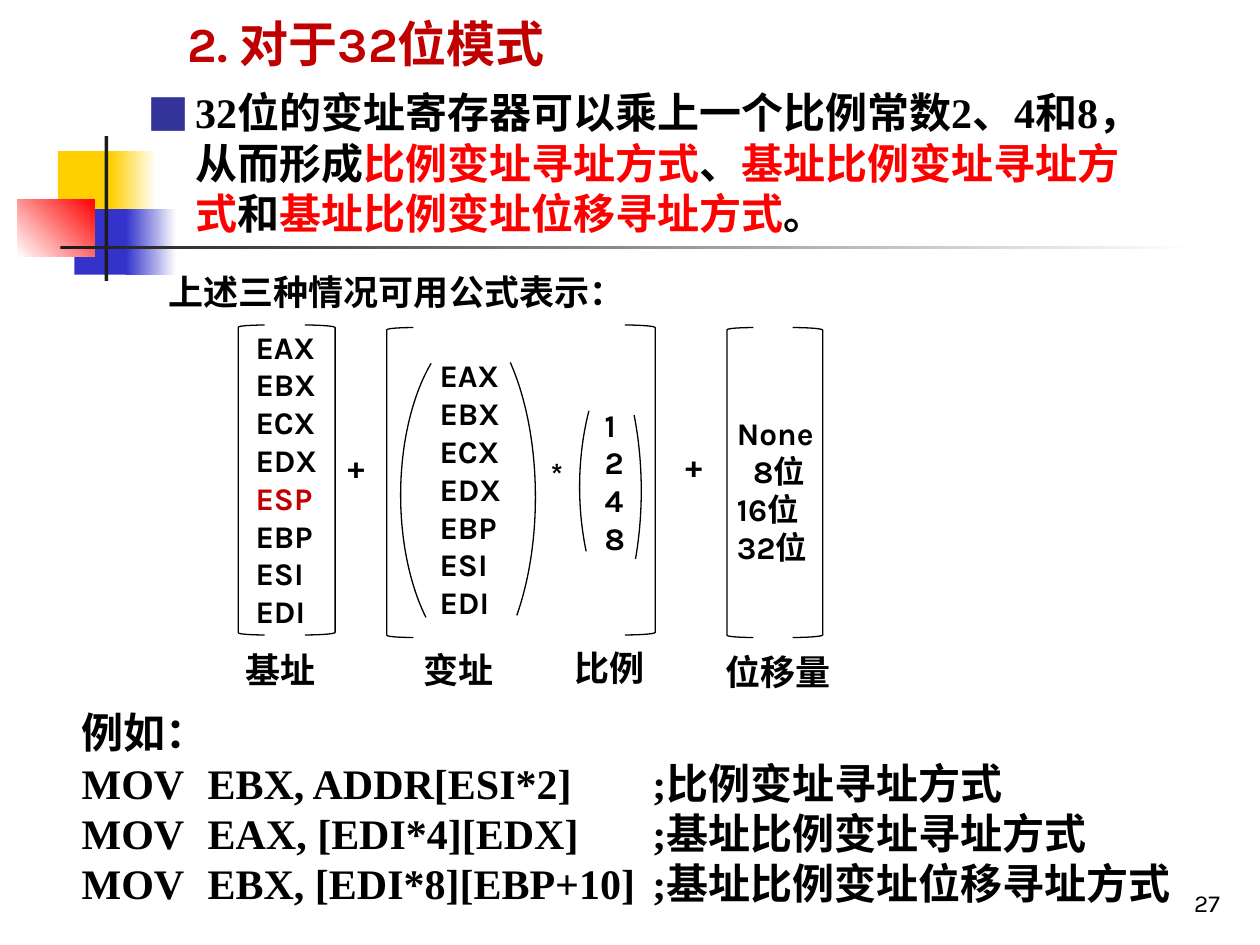
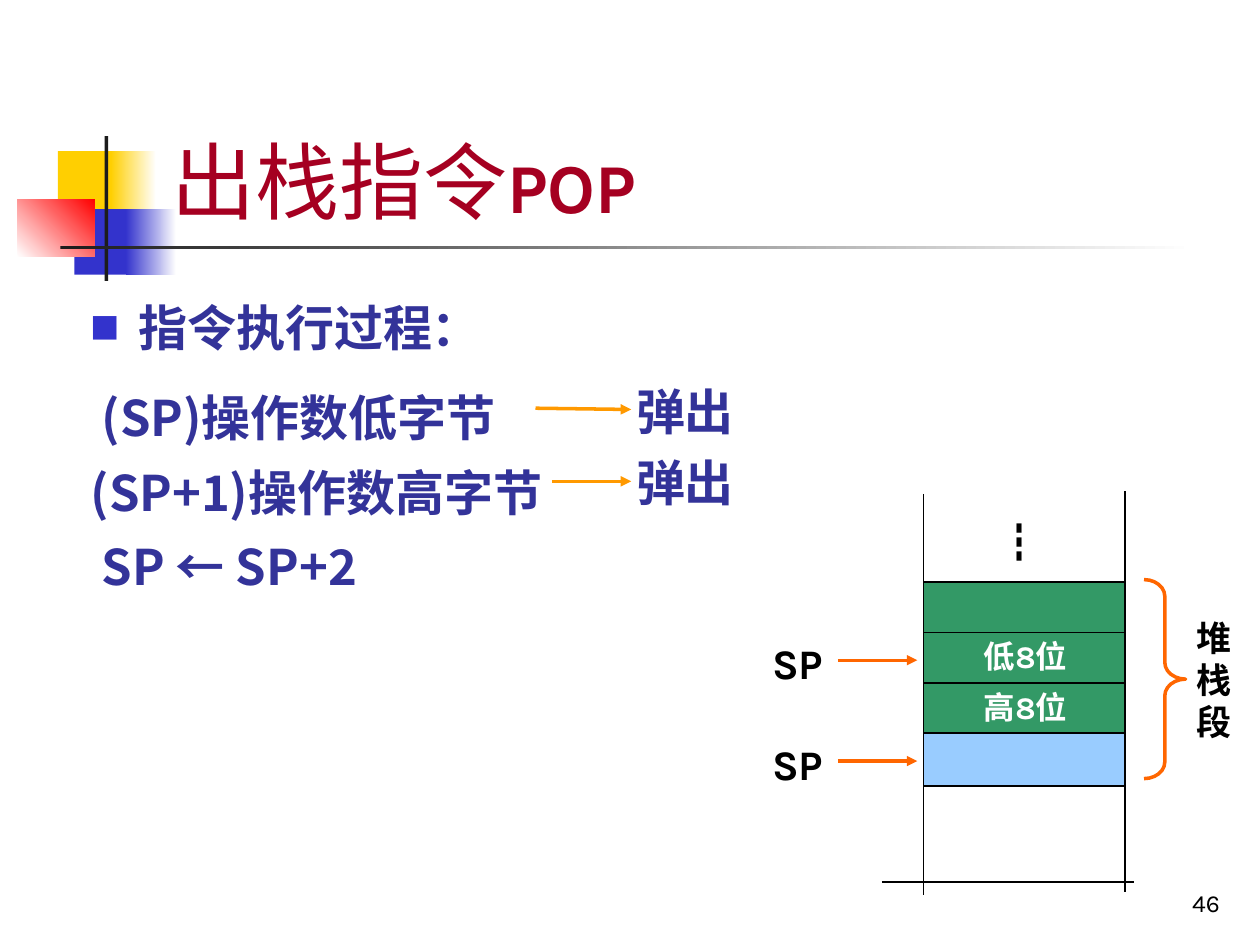
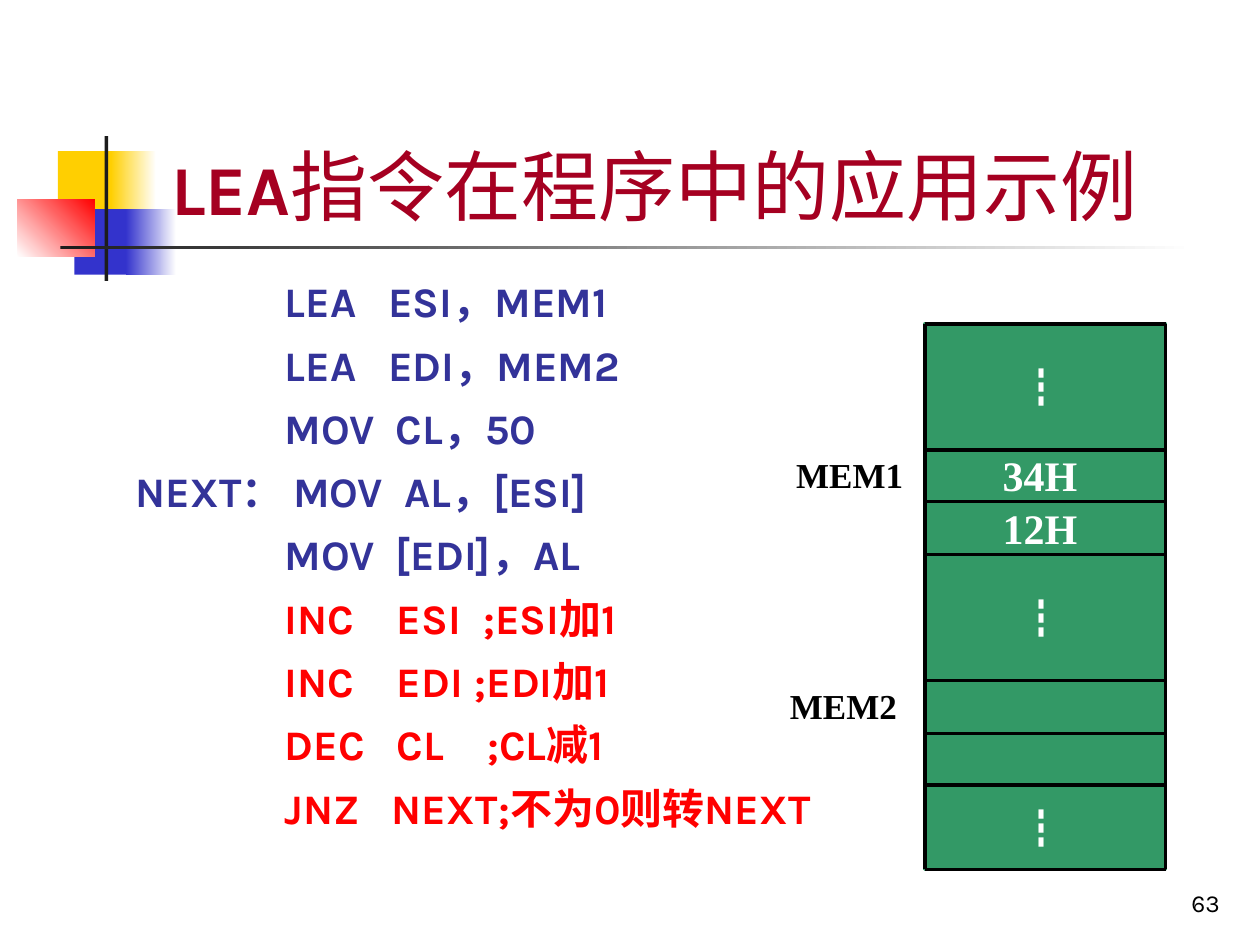
from lxml import etree
from pptx import Presentation
from pptx.dml.color import RGBColor
from pptx.enum import shapes, text
from pptx.oxml.ns import qn
from pptx.util import Inches, Pt

BLACK = RGBColor(0x00, 0x00, 0x00)
WHITE = RGBColor(0xFF, 0xFF, 0xFF)
INK = RGBColor(0x1C, 0x1C, 0x1C)
YELLOW = RGBColor(0xFF, 0xCF, 0x01)
BLUE = RGBColor(0x33, 0x33, 0xCC)
RED = RGBColor(0xFF, 0x00, 0x00)
CRIMSON = RGBColor(0xC0, 0x00, 0x00)
MAROON = RGBColor(0xA5, 0x00, 0x21)
NAVY = RGBColor(0x33, 0x33, 0x99)
GREEN = RGBColor(0x33, 0x99, 0x66)
SKY = RGBColor(0x99, 0xCC, 0xFF)
AMBER = RGBColor(0xFF, 0x99, 0x00)
ORANGE = RGBColor(0xFF, 0x66, 0x00)

KARLA, TIMES, NOTO = "Karla", "Times New Roman", "Noto Sans CJK SC"
SHAPE = shapes.MSO_SHAPE

DECORATION = [
    ((0.46, 1.2, 0.48, 0.52), (YELLOW,), 0),
    ((0.88, 1.2, 0.36, 0.52), (YELLOW, WHITE), 0),
    ((0.59, 1.66, 0.46, 0.52), (BLUE,), 0),
    ((1, 1.66, 0.4, 0.52), (BLUE, WHITE), 0),
    ((0.14, 1.58, 0.61, 0.46), (WHITE, RED), 45),
    ((0.83, 1.08, 0.03, 1.15), (INK,), 0),
    ((0.48, 1.95, 9, 0.03), (INK, WHITE), 0),
]

SCALED_INTRO = [
    ("32位的变址寄存器可以乘上一个比例常数2、4和8，从而形成", {}),
    ("比例变址寻址方式", {"color": RED}),
    ("、", {}),
    ("基址比例变址寻址方式", {"color": RED}),
    ("和", {}),
    ("基址比例变址位移寻址方式", {"color": RED}),
    ("。", {}),
]
BASE_REGISTERS = ["EAX", "EBX", "ECX", "EDX", [("ESP", {"color": CRIMSON})], "EBP", "ESI", "EDI"]
INDEX_REGISTERS = ["EAX", "EBX", "ECX", "EDX", "EBP", "ESI", "EDI"]
FORMULA_COLUMNS = [
    ((1.93, 2.55, 0.87, 2.52), BASE_REGISTERS),
    ((3.39, 2.78, 0.87, 2.22), INDEX_REGISTERS),
    ((4.7, 3.17, 0.35, 1.31), ["1", "2", "4", "8"]),
    ((5.75, 3.24, 0.87, 1.31), ["None", "8位", "16位", "32位"]),
]
OPERATORS = [((2.66, 3.5, 0.39, 0.5), "+"), ((5.34, 3.49, 0.39, 0.5), "+"),
             ((4.27, 3.56, 0.37, 0.5), "*")]
BRACKETS = [
    (SHAPE.LEFT_BRACKET, (1.89, 2.58, 0.21, 2.46)),
    (SHAPE.RIGHT_BRACKET, (2.42, 2.58, 0.24, 2.46)),
    (SHAPE.LEFT_BRACKET, (3.07, 2.6, 0.21, 2.46)),
    (SHAPE.RIGHT_BRACKET, (4.96, 2.58, 0.24, 2.46)),
    (SHAPE.LEFT_BRACKET, (5.77, 2.6, 0.21, 2.46)),
    (SHAPE.RIGHT_BRACKET, (6.29, 2.6, 0.24, 2.46)),
]
PARENTHESES = [
    ((2.79, 2.39, 1.46, 3.11), (177.85, 34.92), False),
    ((3.18, 2.55, 1.39, 2.76), (176.06, 37.81), True),
    ((3.63, 2.34, 1.46, 3.11), (190.98, 23.01), False),
    ((4.6, 2.31, 1.88, 3.11), (195.08, 17.94), True),
]
PART_NAMES = [((1.85, 5.1, 0.77, 0.44), "基址"), ((3.26, 5.1, 0.77, 0.44), "变址"),
              ((4.46, 5.08, 0.77, 0.44), "比例"), ((5.66, 5.11, 1.19, 0.44), "位移量")]
EXAMPLES = [
    "例如：",
    "MOV\tEBX, ADDR[ESI*2]\t;比例变址寻址方式",
    "MOV\tEAX, [EDI*4][EDX]\t;基址比例变址寻址方式",
    "MOV\tEBX, [EDI*8][EBP+10]\t;基址比例变址位移寻址方式",
]

POP_STEPS = ["指令执行过程：", " (SP)操作数低字节", "(SP+1)操作数高字节", " SP ← SP+2"]
POP_ARROWS = [(4.25, 3.24, 5.01, 3.25), (4.38, 3.82, 5.01, 3.82)]
STACK_LEFT, STACK_RIGHT, STACK_TOP, CELL_STEP = 7.33, 8.93, 4.62, 0.4
STACK_CELLS = [("", GREEN), ("低8位", GREEN), ("高8位", GREEN), ("", SKY)]
SP_ROWS = [1, 3]
TORN_EDGE = [
    (7.35, 7.11),
    (7.46, 7.07), (7.33, 7.14), (7.4, 7.05),
    (7.43, 7.02), (7.46, 7.01), (7.48, 6.99),
    (7.53, 6.93), (7.57, 6.9), (7.63, 6.87),
    (7.69, 6.8), (7.74, 6.76), (7.82, 6.73),
    (7.87, 6.73), (7.92, 6.73), (7.97, 6.74),
    (7.99, 6.75), (8.03, 6.82), (8.05, 6.84),
    (8.11, 6.9), (8.12, 6.9), (8.18, 6.94),
    (8.3, 7.07), (8.43, 7.15), (8.59, 7.18),
    (8.68, 7.22), (8.66, 7.21), (8.83, 7.18),
    (8.84, 7.18), (8.85, 7.16), (8.86, 7.15),
    (8.87, 7.13), (8.89, 7.13), (8.9, 7.11),
    (8.91, 7.11), (8.93, 7.08), (8.93, 7.08),
]

LEA_CODE = [
    "              LEA   ESI，MEM1",
    "              LEA   EDI，MEM2",
    "              MOV  CL，50",
    "NEXT： MOV  AL，[ESI]",
    "              MOV  [EDI]，AL",
]
LOOP_CODE = [
    "              INC    ESI  ;ESI加1",
    "              INC    EDI ;EDI加1",
    "              DEC   CL    ;CL减1",
    "              JNZ   NEXT;不为0则转NEXT",
]
MEMORY_LEFT, MEMORY_RIGHT = 7.34, 9.25
MEMORY_ROWS = [2.57, 3.57, 3.98, 4.4, 5.4, 5.82, 6.23, 6.9]
MEMORY_DOTS = [2.82, 4.65, 6.32]
MEMORY_VALUES = [(3.52, "34H"), (3.94, "12H")]
MEMORY_NAMES = [((6.22, 3.55, 1.15, 0.43), "MEM1"), ((6.17, 5.38, 1.11, 0.43), "MEM2")]


def add_text(s, box, paragraphs, size, font=KARLA, color=BLACK, bold=True, pitch=None,
             before=0, after=0, align=None, anchor=text.MSO_ANCHOR.TOP):
    tf = s.shapes.add_textbox(*map(Inches, box)).text_frame
    tf.word_wrap = True
    tf.vertical_anchor = anchor
    for i, runs in enumerate(paragraphs):
        p = tf.paragraphs[0] if i == 0 else tf.add_paragraph()
        p.font.name, p.font.size, p.font.bold = font, Pt(size), bold
        p.font.color.rgb = color
        east_asian = etree.SubElement(p._p.pPr.find(qn("a:defRPr")), qn("a:ea"))
        east_asian.set("typeface", NOTO)
        p.line_spacing = Pt(pitch or size * 1.2)
        p.space_before = Pt(before if i else 0)
        p.space_after = Pt(after)
        if align is not None:
            p.alignment = align
        for words, style in [(runs, {})] if isinstance(runs, str) else runs:
            r = p.add_run()
            r.text = words
            if "color" in style:
                r.font.color.rgb = style["color"]
            if "size" in style:
                r.font.size = Pt(style["size"])
            if "bold" in style:
                r.font.bold = style["bold"]
    return tf.paragraphs


def add_before_font(p, tag, **attributes):
    element = etree.Element(qn(tag), attributes)
    p._p.pPr.find(qn("a:defRPr")).addprevious(element)
    return element


def set_indent(p, left, first=0):
    p._p.pPr.set("marL", str(Inches(left)))
    p._p.pPr.set("indent", str(Inches(first)))


def add_bullet(p, color, percent=100):
    set_indent(p, 0.38, -0.38)
    etree.SubElement(add_before_font(p, "a:buClr"), qn("a:srgbClr")).set("val", str(color))
    add_before_font(p, "a:buSzPct", val=str(percent * 1000))
    add_before_font(p, "a:buFont", typeface=NOTO)
    add_before_font(p, "a:buChar", char="■")


def add_tabs(p, *stops):
    tabs = add_before_font(p, "a:tabLst")
    for stop in stops:
        etree.SubElement(tabs, qn("a:tab"), pos=str(Inches(stop)), algn="l")


def add_shape(s, kind, box, fill=None, line=None, width=1):
    sp = s.shapes.add_shape(kind, *map(Inches, box))
    paint(sp, fill, line, width)
    return sp


def paint(sp, fill, line, width):
    sp.shadow.inherit = False
    if fill is None:
        sp.fill.background()
    else:
        sp.fill.solid()
        sp.fill.fore_color.rgb = fill
    if line is None:
        sp.line.fill.background()
    else:
        sp.line.color.rgb = line
        sp.line.width = Pt(width)


def add_line(s, x1, y1, x2, y2, color=BLACK, width=1, arrow=False):
    c = s.shapes.add_connector(shapes.MSO_CONNECTOR.STRAIGHT, *map(Inches, (x1, y1, x2, y2)))
    c.line.color.rgb = color
    c.line.width = Pt(width)
    if arrow:
        etree.SubElement(c.line._get_or_add_ln(), qn("a:tailEnd"), type="triangle")
    etree.SubElement(c._element.spPr, qn("a:effectLst"))


def add_curve(s, points, steps=6):
    outline = [points[0]]
    for i in range(0, len(points) - 1, 3):
        a, b, c, d = points[i:i + 4]
        for t in (k / steps for k in range(1, steps + 1)):
            n = 1 - t
            outline.append(tuple(n**3 * a[j] + 3 * n * n * t * b[j] + 3 * n * t * t * c[j]
                                 + t**3 * d[j] for j in (0, 1)))
    builder = s.shapes.build_freeform(*outline[0], scale=Inches(1))
    builder.add_line_segments(outline[1:], close=False)
    paint(builder.convert_to_shape(), None, BLACK, 1)


def add_dots(s, left, top, color):
    add_text(s, (left, top, 0.67, 0.5), ["┇"], 24, NOTO, color, False)


def new_slide(prs, number):
    s = prs.slides.add_slide(prs.slide_layouts[6])
    for box, colors, angle in DECORATION:
        sp = add_shape(s, SHAPE.RECTANGLE, box, colors[0])
        if len(colors) == 2:
            sp.fill.gradient()
            sp.fill.gradient_angle = angle
            for stop, color in zip(sp.fill.gradient_stops, colors):
                stop.color.rgb = color
    add_text(s, (7.7, 6.83, 2.08, 0.5), [str(number)], 14, bold=False,
             align=text.PP_ALIGN.RIGHT, anchor=text.MSO_ANCHOR.BOTTOM)
    return s


def add_title(s, runs):
    add_text(s, (1.26, 0.23, 8.52, 1.65), [runs], 40, color=MAROON, pitch=58,
             anchor=text.MSO_ANCHOR.BOTTOM)


def build_scaled_addressing(prs):
    s = new_slide(prs, 27)
    add_text(s, (1.39, 0.06, 7.24, 0.57), ["2. 对于32位模式"], 28, color=CRIMSON)
    intro = add_text(s, (1.07, 0.64, 8.19, 1.31), [SCALED_INTRO], 24, TIMES)
    add_bullet(intro[0], NAVY)
    add_text(s, (1.24, 2.1, 5.2, 0.44), ["上述三种情况可用公式表示："], 20)
    for box, values in FORMULA_COLUMNS:
        for p in add_text(s, box, values, 18):
            if p.text == "8位":
                set_indent(p, 0.13)
    for kind, box in BRACKETS:
        add_shape(s, kind, box, line=BLACK, width=0.75)
    for box, angles, flipped in PARENTHESES:
        sp = add_shape(s, SHAPE.ARC, box, line=BLACK, width=0.75)
        sp.adjustments[0], sp.adjustments[1] = angles
        if flipped:
            sp._element.spPr.xfrm.set("flipH", "1")
    for box, sign in OPERATORS:
        add_text(s, box, [sign], 18)
    for box, name in PART_NAMES:
        add_text(s, box, [name], 20)
    for p in add_text(s, (0.55, 5.56, 9.06, 1.7), EXAMPLES, 24, TIMES):
        add_tabs(p, 1, 4.53)


def build_pop(prs):
    s = new_slide(prs, 46)
    add_title(s, [("出栈指令", {"size": 48, "bold": False}), ("POP", {})])
    steps = add_text(s, (0.62, 2.27, 5.82, 3.08), POP_STEPS, 28, NOTO, NAVY, pitch=36.6, before=6)
    add_bullet(steps[0], BLUE, 60)
    steps[0].space_after = Pt(9)
    for p in steps[1:]:
        set_indent(p, 0.38, -0.38)
    for ends in POP_ARROWS:
        add_line(s, *ends, color=AMBER, width=2, arrow=True)
    for top in (2.98, 3.54):
        add_text(s, (4.95, top, 1.1, 0.57), ["弹出"], 28, color=NAVY)

    width = STACK_RIGHT - STACK_LEFT
    for i, (label, fill) in enumerate(STACK_CELLS):
        top = STACK_TOP + i * CELL_STEP
        add_shape(s, SHAPE.RECTANGLE, (STACK_LEFT, top, width, 0.42), fill, BLACK)
        if label:
            add_text(s, (7.71, top - 0.01, 1.02, 0.4), [label], 18, color=WHITE)
    add_line(s, STACK_LEFT, 3.92, STACK_LEFT, 7.1)
    add_line(s, STACK_RIGHT, 3.9, STACK_RIGHT, 7.08)
    add_curve(s, TORN_EDGE)
    add_dots(s, 7.83, 4.05, BLACK)
    for row in SP_ROWS:
        top = STACK_TOP + row * CELL_STEP
        add_text(s, (6.03, top - 0.01, 0.9, 0.5), ["SP"], 24)
        add_line(s, 6.65, top + 0.22, 7.28, top + 0.22, ORANGE, 1.75, True)
    brace = add_shape(s, SHAPE.RIGHT_BRACE, (9.08, 4.6, 0.33, 1.58), line=ORANGE, width=2)
    brace.adjustments[0], brace.adjustments[1] = 0.4, 0.5
    add_text(s, (9.4, 4.84, 0.5, 1.1), ["堆栈段"], 20, TIMES)


def build_lea(prs):
    s = new_slide(prs, 63)
    add_title(s, [("LEA", {}), ("指令在程序中的应用示例", {"size": 44, "bold": False})])
    code = LEA_CODE + [[(line, {"color": RED})] for line in LOOP_CODE]
    for p in add_text(s, (0.98, 2.12, 6.14, 4.72), code, 24, color=NAVY, pitch=30.2,
                      before=4.8, after=1.2):
        set_indent(p, 0.38, -0.38)

    top, bottom = MEMORY_ROWS[0], MEMORY_ROWS[-1]
    add_shape(s, SHAPE.RECTANGLE, (MEMORY_LEFT, top, MEMORY_RIGHT - MEMORY_LEFT, bottom - top),
              GREEN, GREEN, 2)
    for x in (MEMORY_LEFT, MEMORY_RIGHT):
        add_line(s, x, top, x, bottom, width=2)
    for y in MEMORY_ROWS:
        add_line(s, MEMORY_LEFT, y, MEMORY_RIGHT, y, width=2)
    for y in MEMORY_DOTS:
        add_dots(s, 8, y, WHITE)
    for y, value in MEMORY_VALUES:
        add_text(s, (7.86, y, 0.83, 0.5), [value], 24, TIMES, WHITE)
    for box, name in MEMORY_NAMES:
        add_text(s, box, [name], 20, TIMES)


def main():
    prs = Presentation()
    prs.slide_width, prs.slide_height = Inches(10), Inches(7.5)
    build_scaled_addressing(prs)
    build_pop(prs)
    build_lea(prs)
    prs.save("out.pptx")


if __name__ == "__main__":
    main()
